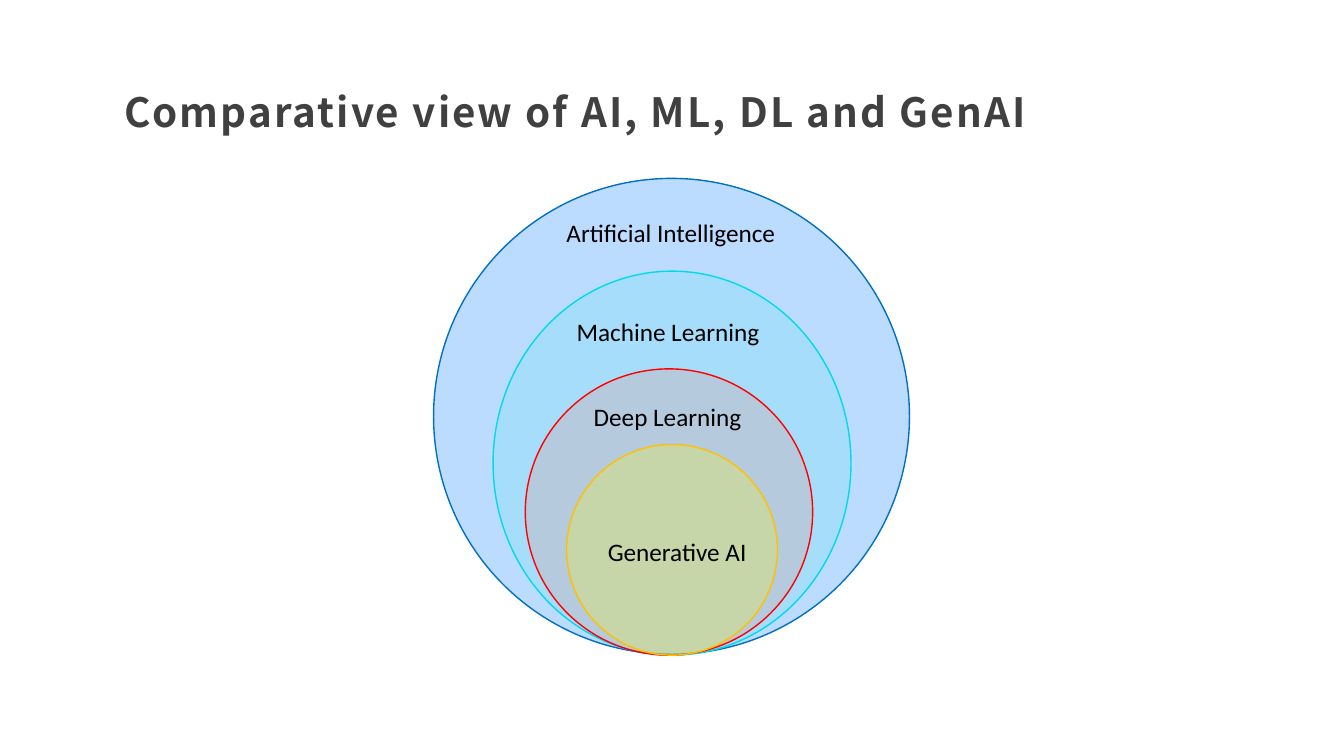
from lxml import etree
from pptx import Presentation
from pptx import util as u
from pptx.dml.color import RGBColor
from pptx.enum import shapes, text
from pptx.oxml import ns

BLACK = RGBColor(0x00, 0x00, 0x00)
GRAY = RGBColor(0x40, 0x40, 0x40)
BLUE = RGBColor(0x15, 0x84, 0xFF)
NAVY = RGBColor(0x00, 0x70, 0xC0)
AQUA = RGBColor(0x61, 0xE7, 0xED)
CYAN = RGBColor(0x00, 0xDA, 0xEF)
ROSE = RGBColor(0xEF, 0x91, 0x87)
RED = RGBColor(0xFF, 0x00, 0x00)
LEMON = RGBColor(0xFF, 0xFF, 0x00)
GOLD = RGBColor(0xFF, 0xC0, 0x00)

RINGS = [
    (0, 0, 4.72, 4.72, BLUE, 29, NAVY),
    (0.59, 0.92, 3.55, 3.81, AQUA, 24, CYAN),
    (0.91, 1.89, 2.85, 2.84, ROSE, 24, RED),
    (1.32, 2.64, 2.09, 2.09, LEMON, 24, GOLD),
]
LABELS = [
    ("Artificial Intelligence", 1.22, 0.34, 2.85),
    ("Machine Learning", 1.32, 1.32, 2.85),
    ("Deep Learning", 1.49, 2.16, 2.85),
    ("Generative AI", 1.63, 3.5, 1.96),
]


def write(frame, words, size=18, face="Calibri", color=BLACK, bold=False,
          anchor=text.MSO_ANCHOR.TOP, lines=None, track=None):
    frame.word_wrap = True
    frame.auto_size = text.MSO_AUTO_SIZE.NONE
    frame.vertical_anchor = anchor
    para = frame.paragraphs[0]
    para.alignment = text.PP_ALIGN.LEFT
    para.line_spacing = lines
    run = para.add_run()
    run.text = words
    font = run.font
    font.size = u.Pt(size)
    font.name = face
    font.bold = bold
    font.color.rgb = color
    props = run._r.get_or_add_rPr()
    etree.SubElement(props, ns.qn("a:ea")).set("typeface", face)
    if track:
        props.set("spc", str(round(track * 100)))


def head(slide, left, top, width, height):
    title = slide.shapes.title
    title.left, title.top = u.Inches(left), u.Inches(top)
    title.width, title.height = u.Inches(width), u.Inches(height)
    write(title.text_frame, "Comparative view of AI, ML, DL and GenAI",
          size=28.8, face="Noto Sans CJK JP", color=GRAY, bold=True,
          anchor=text.MSO_ANCHOR.BOTTOM, lines=1.3, track=1.5)


def nest(slide, left, top):
    for x, y, width, height, fill, alpha, edge in RINGS:
        ring = slide.shapes.add_shape(
            shapes.MSO_SHAPE.OVAL, u.Inches(left + x), u.Inches(top + y),
            u.Inches(width), u.Inches(height))
        ring.shadow.inherit = False
        ring.fill.solid()
        ring.fill.fore_color.rgb = fill
        tint = ring._element.spPr.find(ns.qn("a:solidFill"))[0]
        etree.SubElement(tint, ns.qn("a:alpha")).set("val", str(alpha * 1000))
        ring.line.color.rgb = edge
        ring.line.width = u.Pt(1)
    for words, x, y, width in LABELS:
        label = slide.shapes.add_textbox(
            u.Inches(left + x), u.Inches(top + y),
            u.Inches(width), u.Inches(0.4))
        write(label.text_frame, words)


def main():
    deck = Presentation()
    deck.slide_width, deck.slide_height = u.Inches(13.33), u.Inches(7.5)
    slide = deck.slides.add_slide(deck.slide_layouts.get_by_name("Title Only"))
    head(slide, 1.13, 0.63, 10.53, 0.77)
    nest(slide, 4.3, 1.77)
    deck.save("out.pptx")


if __name__ == "__main__":
    main()
